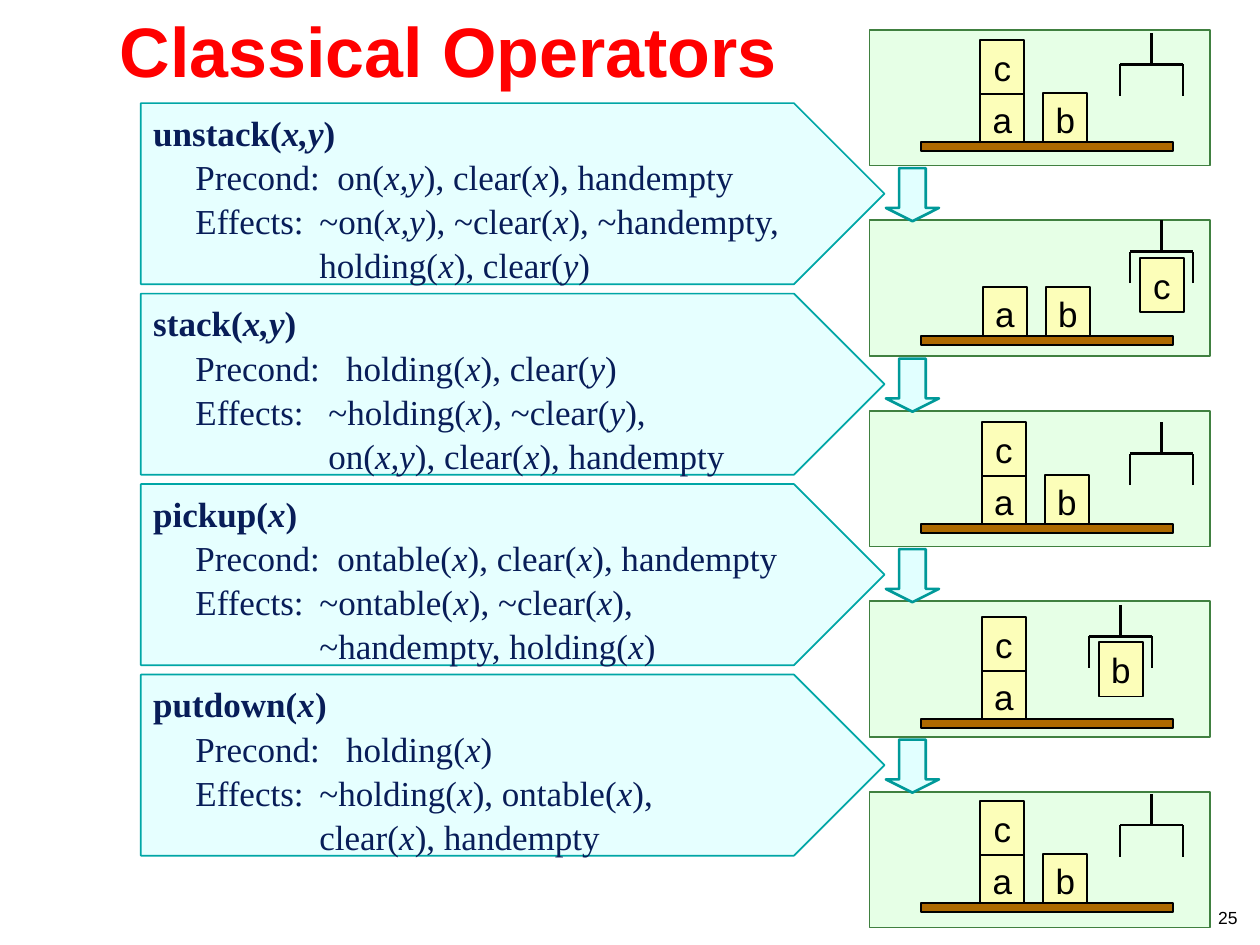
"""Build the classical operators slide with its five block-world scenes."""
from lxml.etree import SubElement
from pptx import Presentation
from pptx.dml.color import RGBColor
from pptx.enum.shapes import MSO_CONNECTOR as Link, MSO_SHAPE as Kind
from pptx.enum.text import MSO_ANCHOR as Anchor, MSO_AUTO_SIZE as Fit, PP_ALIGN as Align
from pptx.oxml.ns import qn
from pptx.util import Cm, Pt

TITLE = "Classical Operators"
PAGE = "25"
RULES = [
    ("unstack(*x,y*)",
     ("Precond:", 3.71, "on(*x,y*), clear(*x*), handempty"),
     ("Effects:", 3.35, "~on(*x,y*), ~clear(*x*), ~handempty,\nholding(*x*), clear(*y*)")),
    ("stack(*x,y*)",
     ("Precond:", 3.89, "holding(*x*), clear(*y*)"),
     ("Effects:", 3.53, "~holding(*x*), ~clear(*y*),\non(*x,y*), clear(*x*), handempty")),
    ("pickup(*x*)",
     ("Precond:", 3.71, "ontable(*x*), clear(*x*), handempty"),
     ("Effects:", 3.35, "~ontable(*x*), ~clear(*x*),\n~handempty, holding(*x*)")),
    ("putdown(*x*)",
     ("Precond:", 3.89, "holding(*x*)"),
     ("Effects:", 3.35, "~holding(*x*), ontable(*x*),\nclear(*x*), handempty")),
]
SCENES = [
    {"piles": ["ac", "b"], "held": "", "left": 19.76, "table": 2.27, "hand": (22.58, 0.06)},
    {"piles": ["a", "b"], "held": "c", "left": 19.81, "table": 2.34, "hand": (22.78, 0)},
    {"piles": ["ac", "b"], "held": "", "left": 19.79, "table": 2.29, "hand": (22.78, 0.23)},
    {"piles": ["ac"], "held": "b", "left": 19.79, "table": 2.38, "hand": (21.95, 0.07)},
    {"piles": ["ac", "b"], "held": "", "left": 19.76, "table": 2.25, "hand": (22.58, 0.04)},
]
LOOKS = {
    "rule": ("E6FFFF", "00A6A6", 1),
    "panel": ("E6FFE6", "408040", 1),
    "block": ("FCFEB9", "000000", 1),
    "table": ("AD6900", "000000", 1),
    "arrow": ("E1FFFF", "009999", 1.5),
}
FONTS = {
    "title": ({"name": "Arial", "size": Pt(40), "bold": True}, "FF0000"),
    "rule": ({"name": "Times New Roman", "size": Pt(20)}, "081D58"),
    "block": ({"name": "Arial", "size": Pt(20)}, "000000"),
    "page": ({"name": "Arial", "size": Pt(10)}, "000000"),
}
STEP, FIRST = 3.84, 0.6
SIDE, RISE, PRONG, GAP = 0.89, 1.06, 0.635, 1.27


def paint(color, code):
    color.rgb = RGBColor.from_string(code)


def draw(kind, look, *box):
    shape = slide.shapes.add_shape(kind, *map(Cm, box))
    fill, line, width = LOOKS[look]
    shape.shadow.inherit = False
    shape.fill.solid()
    paint(shape.fill.fore_color, fill)
    paint(shape.line.color, line)
    shape.line.width = Pt(width)
    return shape


def say(para, text, look, **more):
    values, code = FONTS[look]
    for n, part in enumerate(text.split("*")):
        for row, words in enumerate(part.split("\n")):
            if row:
                para.add_line_break()
            if words:
                run = para.add_run()
                run.text = words
                for key, value in {**values, "italic": n % 2 == 1, **more}.items():
                    setattr(run.font, key, value)
                paint(run.font.color, code)


def setup(frame, **values):
    base = {"word_wrap": True, "auto_size": Fit.NONE, "vertical_anchor": Anchor.TOP}
    for key, value in {**base, **values}.items():
        setattr(frame, key, value)
    return frame.paragraphs[0]


def rule(top, head, *parts):
    frame = draw(Kind.PENTAGON, "rule", 2.84, top, 14.99, 3.65).text_frame
    para = setup(frame)
    say(para, head, "rule", bold=True)
    for label, indent, body in parts:
        para = frame.add_paragraph()
        props = para._p.get_or_add_pPr()
        props.set("marL", str(Cm(indent)))
        props.set("indent", str(Cm(0.85 - indent)))
        say(para, f"{label}\t{body}", "rule")
    for para in frame.paragraphs:
        para.alignment = Align.LEFT
        para.line_spacing = 1.05


def block(letter, left, top):
    shape = draw(Kind.RECTANGLE, "block", left, top, SIDE, 1.09)
    para = setup(shape.text_frame, margin_left=0, margin_right=0)
    para.alignment = Align.CENTER
    say(para, letter, "block")


def hand(left, top):
    mid, right = left + PRONG, left + 2 * PRONG
    bar, tip = top + PRONG, top + 2 * PRONG
    for ends in [(left, tip, left, bar), (right, tip, right, bar),
                 (left, bar, right, bar), (mid, bar, mid, top)]:
        line = slide.shapes.add_connector(Link.STRAIGHT, *map(Cm, ends))
        line.line.width = Pt(1.5)
        paint(line.line.color, "000000")
        SubElement(line._element.spPr, qn("a:effectLst"))


def scene(top, piles, held, left, table, hand_at):
    floor = top + table
    for col, pile in enumerate(piles):
        for level, letter in enumerate(pile):
            block(letter, left + col * GAP, floor - 1 - level * RISE)
    draw(Kind.RECTANGLE, "table", 18.57, floor, 5.08, 0.18)
    x, y = hand_at[0], top + hand_at[1]
    if held:
        block(held, x + 0.2, y + 0.76)
    hand(x, y)


deck = Presentation()
deck.slide_width, deck.slide_height = Cm(25.4), Cm(19.05)
slide = deck.slides.add_slide(deck.slide_layouts[5])

title = slide.shapes.title
for key, value in {"left": 0.43, "top": 0.28, "width": 17.22, "height": 1.7}.items():
    setattr(title, key, Cm(value))
para = setup(title.text_frame, vertical_anchor=Anchor.BOTTOM)
para.alignment = Align.CENTER
say(para, TITLE, "title")

for n, item in enumerate(RULES):
    rule(2.08 + n * STEP, *item)
tops = [FIRST + n * STEP for n in range(len(SCENES))]
for top in tops:
    draw(Kind.RECTANGLE, "panel", 17.53, top, 6.86, 2.74)
for top, item in zip(tops, SCENES):
    scene(top, *item.values())
for top in tops[:-1]:
    arrow = draw(Kind.DOWN_ARROW, "arrow", 17.86, top + 2.79, 1.07, 1.07)
    arrow.adjustments[1] = 0.25

page = slide.shapes.add_textbox(*map(Cm, (23.88, 18.16, 1.32, 0.66)))
para = setup(page.text_frame)
para.alignment = Align.RIGHT
say(para, PAGE, "page")

deck.save("out.pptx")
